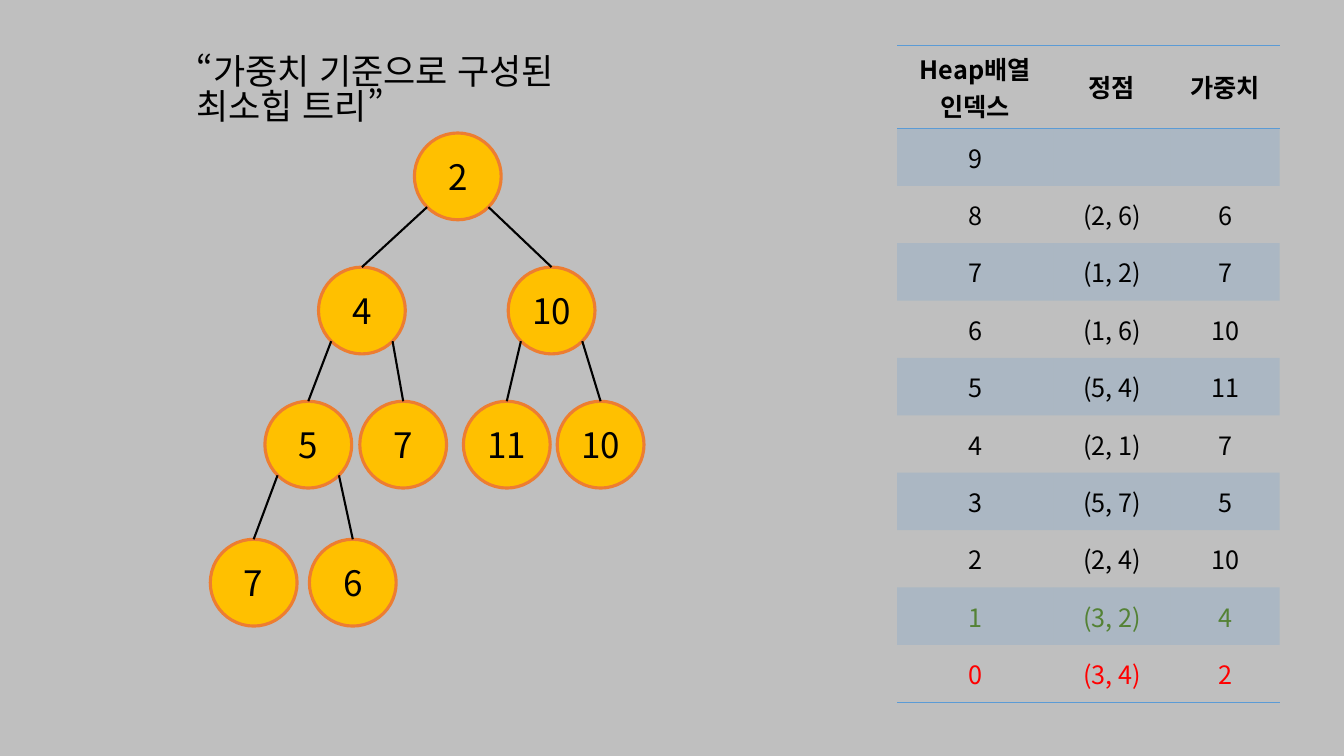
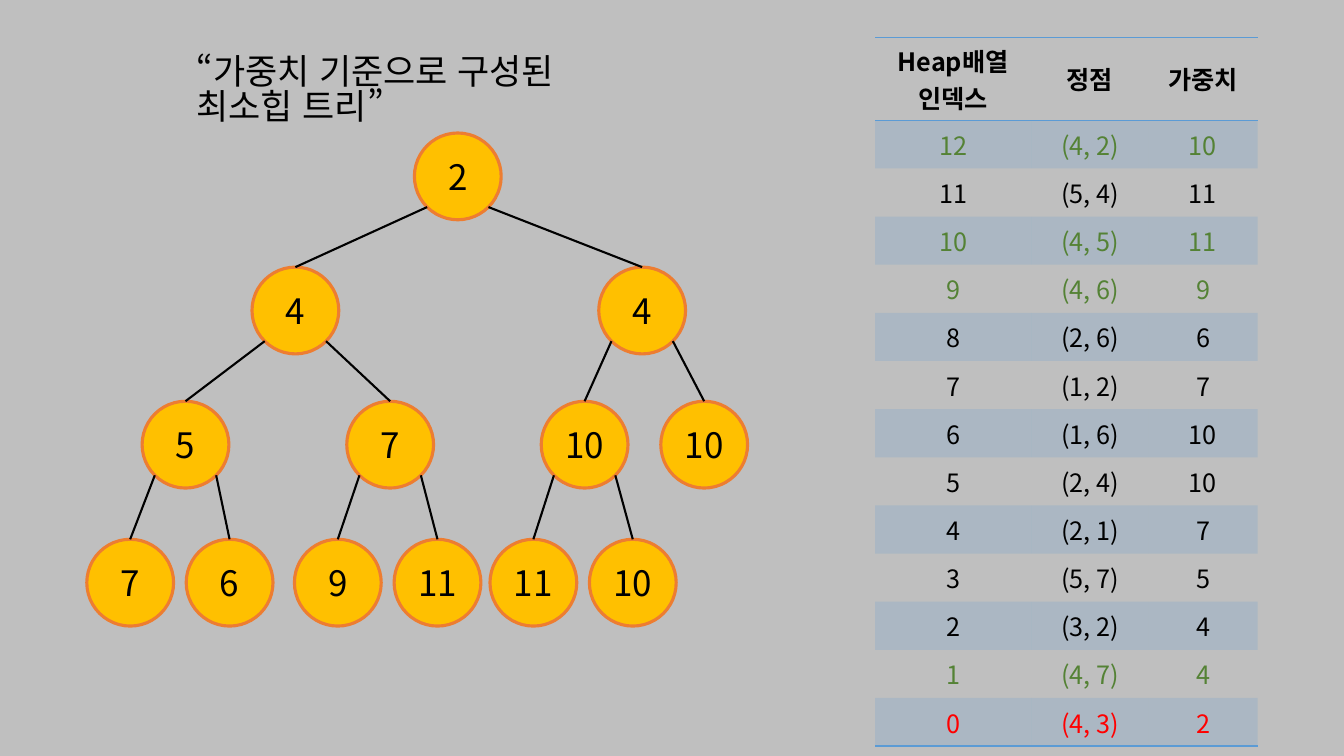
from dataclasses import dataclass
from itertools import chain

from lxml import etree
from pptx import Presentation
from pptx.dml.color import RGBColor
from pptx.enum import lang, shapes, text
from pptx.oxml import ns
from pptx.util import Pt


@dataclass(frozen=True)
class Theme:
    font: str = "Noto Sans CJK KR"
    large: float = 25
    small: float = 18
    backdrop: str = "BFBFBF"
    ink: str = "000000"
    node: str = "FFC000"
    node_line: str = "ED7D31"
    accent: str = "5B9BD5"
    changed: str = "548235"
    root: str = "FF0000"


TITLE = "“가중치 기준으로 구성된 최소힙 트리”"
HEADERS = ("Heap배열\n인덱스", "정점", "가중치")
COLUMN_WIDTHS = (111.6, 83.7, 78)
HEADER_HEIGHT = 46
PLAIN_TABLE = "{2D5ABB26-0587-4C30-8999-92F81FD0307C}"
LEVEL_TOPS = (95, 190.8, 286.6, 385.2)
DIAMETER = 62
DIAGONAL = DIAMETER / 2 * 0.5 ** 0.5

HEAPS = (
    {
        "items": (("(3, 4)", 2), ("(3, 2)", 4), ("(2, 4)", 10), ("(5, 7)", 5), ("(2, 1)", 7),
                  ("(5, 4)", 11), ("(1, 6)", 10), ("(1, 2)", 7), ("(2, 6)", 6), ("", "")),
        "changed": {1},
        "lefts": (296, 227.5, 363, 189.2, 257, 331, 398, 150.2, 221),
        "table_at": (640.8, 32.4),
        "row_height": 41,
    },
    {
        "items": (("(4, 3)", 2), ("(4, 7)", 4), ("(3, 2)", 4), ("(5, 7)", 5), ("(2, 1)", 7),
                  ("(2, 4)", 10), ("(1, 6)", 10), ("(1, 2)", 7), ("(2, 6)", 6), ("(4, 6)", 9),
                  ("(4, 5)", 11), ("(5, 4)", 11), ("(4, 2)", 10)),
        "changed": {1, 9, 10, 12},
        "lefts": (296, 180, 427.7, 101.5, 247.7, 386.6, 472, 62, 133, 210.3, 281.5, 350, 421),
        "table_at": (625, 26.6),
        "row_height": 34.4,
    },
)


class HeapDeck:
    """Draws heap trees and their arrays in one shared style."""

    def __init__(self, theme):
        self.theme = theme
        self.deck = Presentation()
        self.deck.slide_width, self.deck.slide_height = Pt(960), Pt(540)
        self.paint(self.deck.slide_master.background.fill, theme.backdrop)
        self.slide = None

    def paint(self, fill, color):
        fill.solid()
        fill.fore_color.rgb = RGBColor.from_string(color)

    def set_text(self, frame, content, size, color=None, bold=False,
                 align=text.PP_ALIGN.CENTER, spacing=1.0):
        for number, line in enumerate(content.split("\n")):
            para = frame.paragraphs[0] if number == 0 else frame.add_paragraph()
            para.alignment, para.line_spacing = align, spacing
            span = para.add_run()
            span.text = line
            values = {"name": self.theme.font, "size": Pt(size), "bold": bold,
                      "language_id": lang.MSO_LANGUAGE_ID.KOREAN}
            for name, value in values.items():
                setattr(span.font, name, value)
            span.font.color.rgb = RGBColor.from_string(color or self.theme.ink)
            etree.SubElement(span.font._element, ns.qn("a:ea"), typeface=self.theme.font)

    def add_page(self, title):
        self.slide = self.deck.slides.add_slide(self.deck.slide_layouts[5])
        box = self.slide.shapes.title
        for name, value in {"left": 133.2, "top": 37, "width": 342.7, "height": 72}.items():
            setattr(box, name, Pt(value))
        frame = box.text_frame
        values = {"word_wrap": True, "auto_size": text.MSO_AUTO_SIZE.NONE,
                  "vertical_anchor": text.MSO_ANCHOR.TOP}
        for name, value in values.items():
            setattr(frame, name, value)
        self.set_text(frame, title, self.theme.large, align=text.PP_ALIGN.LEFT, spacing=0.83)

    def add_node(self, left, top, label):
        node = self.slide.shapes.add_shape(
            shapes.MSO_SHAPE.OVAL, Pt(left), Pt(top), Pt(DIAMETER), Pt(DIAMETER))
        node.shadow.inherit = False
        self.paint(node.fill, self.theme.node)
        self.paint(node.line.fill, self.theme.node_line)
        node.line.width = Pt(2.25)
        frame = node.text_frame
        values = {"word_wrap": False, "vertical_anchor": text.MSO_ANCHOR.MIDDLE,
                  "margin_left": 0, "margin_right": 0}
        for name, value in values.items():
            setattr(frame, name, value)
        self.set_text(frame, label, self.theme.large)
        return node

    def add_edge(self, parent, child, side):
        offset = Pt(DIAGONAL)
        start_x = parent.left + parent.width // 2 + side * offset
        start_y = parent.top + parent.height // 2 + offset
        edge = self.slide.shapes.add_connector(
            shapes.MSO_CONNECTOR.STRAIGHT, start_x, start_y, child.left, child.top)
        edge.end_connect(child, 0)
        self.paint(edge.line.fill, self.theme.ink)
        edge.line.width = Pt(1.5)
        etree.SubElement(edge._element.spPr, ns.qn("a:effectLst"))

    def add_tree(self, weights, lefts):
        nodes = []
        for index, (weight, left) in enumerate(zip(weights, lefts)):
            level = (index + 1).bit_length() - 1
            nodes.append(self.add_node(left, LEVEL_TOPS[level], str(weight)))
            if index:
                self.add_edge(nodes[(index - 1) // 2], nodes[index], -1 if index % 2 else 1)

    def make_border(self, tag):
        line = etree.Element(ns.qn(tag), w=str(Pt(1)))
        fill = etree.SubElement(line, ns.qn("a:solidFill"))
        etree.SubElement(fill, ns.qn("a:srgbClr"), val=self.theme.accent)
        return line

    def style_cell(self, cell, banded, borders):
        cell.vertical_anchor = text.MSO_ANCHOR.MIDDLE
        if banded:
            self.paint(cell.fill, self.theme.accent)
            color = cell._tc.tcPr.find(".//" + ns.qn("a:srgbClr"))
            etree.SubElement(color, ns.qn("a:alpha"), val="20000")
        else:
            cell.fill.background()
        for position, tag in enumerate(borders):
            cell._tc.tcPr.insert(position, self.make_border(tag))

    def add_heap_table(self, items, changed, at, row_height):
        colors = {index: self.theme.changed for index in changed} | {0: self.theme.root}
        entries = [(index, (str(index), pair, str(weight)))
                   for index, (pair, weight) in enumerate(items)]
        rows = list(chain([(None, HEADERS)], reversed(entries)))
        height = HEADER_HEIGHT + row_height * len(items)
        table = self.slide.shapes.add_table(
            len(rows), len(HEADERS), Pt(at[0]), Pt(at[1]),
            Pt(sum(COLUMN_WIDTHS)), Pt(height)).table
        table.first_row = table.horz_banding = False
        table._tbl.tblPr.find(ns.qn("a:tableStyleId")).text = PLAIN_TABLE
        for column, width in zip(table.columns, COLUMN_WIDTHS):
            column.width = Pt(width)
        for number, (index, values) in enumerate(rows):
            header = number == 0
            table.rows[number].height = Pt(HEADER_HEIGHT if header else row_height)
            borders = ("a:lnT", "a:lnB") if header else ("a:lnB",) if index == 0 else ()
            for cell, value in zip(table.rows[number].cells, values):
                self.style_cell(cell, number % 2 == 1, borders)
                self.set_text(cell.text_frame, value, self.theme.small, colors.get(index), header)

    def add_heap(self, items, changed, lefts, table_at, row_height):
        self.add_page(TITLE)
        self.add_heap_table(items, changed, table_at, row_height)
        self.add_tree([weight for _, weight in items], lefts)


def main():
    builder = HeapDeck(Theme())
    for heap in HEAPS:
        builder.add_heap(**heap)
    builder.deck.save("out.pptx")


if __name__ == "__main__":
    main()
